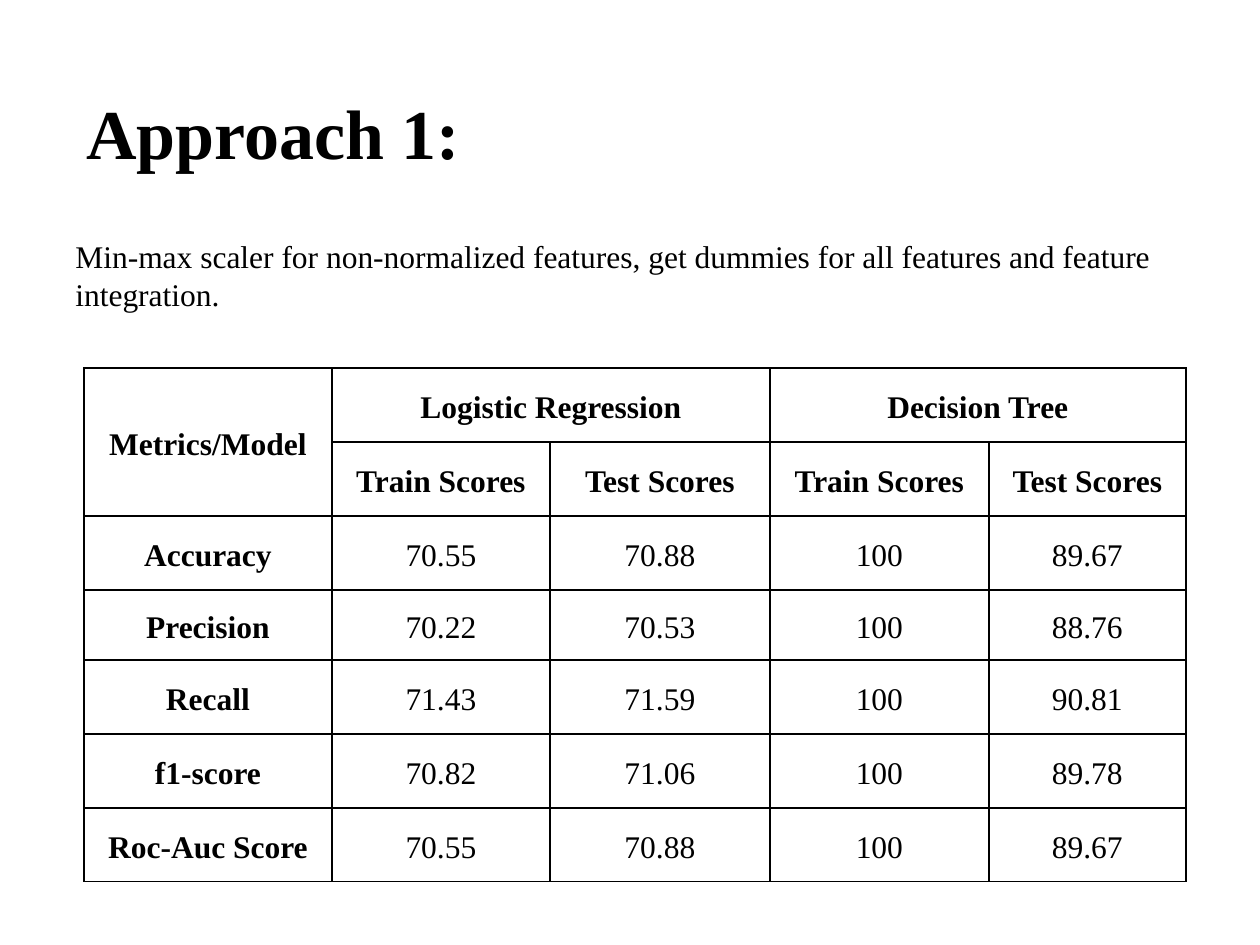
from lxml.etree import SubElement
from pptx import Presentation
from pptx.dml.color import RGBColor
from pptx.enum.text import MSO_ANCHOR, MSO_AUTO_SIZE, PP_ALIGN
from pptx.oxml.ns import qn
from pptx.util import Pt

PX = 914400 / 126
COLORS = {"ink": "000000"}
FONT = "Times New Roman"

TITLE = "Approach 1:"
SUMMARY = ("Min-max scaler for non-normalized features, get dummies for all "
           "features and feature integration.")
SCORES = [
    ("Metrics/Model", "Logistic Regression", "", "Decision Tree", ""),
    ("", "Train Scores", "Test Scores", "Train Scores", "Test Scores"),
    ("Accuracy", "70.55", "70.88", "100", "89.67"),
    ("Precision", "70.22", "70.53", "100", "88.76"),
    ("Recall", "71.43", "71.59", "100", "90.81"),
    ("f1-score", "70.82", "71.06", "100", "89.78"),
    ("Roc-Auc Score", "70.55", "70.88", "100", "89.67"),
]
HEADER_ROWS = 2
MERGES = [((0, 0), (1, 0)), ((0, 1), (0, 2)), ((0, 3), (0, 4))]

TITLE_AREA = (42, 53, 462, 158)
SUMMARY_AREA = (63, 231, 1144, 89)
TABLE_CORNER = (84, 368)
COLUMN_WIDTHS = [248, 218, 220, 219, 197]
ROW_HEIGHTS = [74, 74, 74, 70, 74, 74, 74]
CELL_FORMAT = {"margin_left": 9, "margin_right": 9, "margin_top": 0, "margin_bottom": 0}


def emu(px):
    return round(px * PX)


def write(frame, text, size, bold=False, align=PP_ALIGN.LEFT, spacing=1.0):
    para = frame.paragraphs[0]
    para.alignment, para.line_spacing = align, spacing
    span = para.add_run()
    span.text = text
    font_format = {"name": FONT, "size": Pt(size), "bold": bold}
    for name, value in font_format.items():
        setattr(span.font, name, value)
    span.font.color.rgb = RGBColor.from_string(COLORS["ink"])


def add_borders(cell):
    properties = cell._tc.get_or_add_tcPr()
    for position, side in enumerate(("lnL", "lnR", "lnT", "lnB")):
        line = SubElement(properties, qn(f"a:{side}"), w=str(Pt(1)))
        fill = SubElement(line, qn("a:solidFill"))
        SubElement(fill, qn("a:srgbClr"), val=COLORS["ink"])
        properties.insert(position, line)


def add_score_table(page):
    area = (*TABLE_CORNER, sum(COLUMN_WIDTHS), sum(ROW_HEIGHTS))
    table = page.shapes.add_table(
        len(SCORES), len(COLUMN_WIDTHS), *map(emu, area)).table
    table.first_row = table.horz_banding = False
    for column, width in zip(table.columns, COLUMN_WIDTHS):
        column.width = emu(width)
    for row, height in zip(table.rows, ROW_HEIGHTS):
        row.height = emu(height)
    for start, end in MERGES:
        table.cell(*start).merge(table.cell(*end))
    for r, values in enumerate(SCORES):
        for c, value in enumerate(values):
            cell = table.cell(r, c)
            for name, margin in CELL_FORMAT.items():
                setattr(cell, name, emu(margin))
            cell.vertical_anchor = MSO_ANCHOR.MIDDLE
            cell.fill.background()
            add_borders(cell)
            if value:
                write(cell.text_frame, value, 18, r < HEADER_ROWS or c == 0,
                      PP_ALIGN.CENTER, 1.15)


def main():
    deck = Presentation()
    deck.slide_width, deck.slide_height = emu(1260), emu(945)
    page = deck.slides.add_slide(deck.slide_layouts[5])

    add_score_table(page)

    title = page.shapes.title
    title.left, title.top, title.width, title.height = map(emu, TITLE_AREA)
    title.text_frame.vertical_anchor = MSO_ANCHOR.MIDDLE
    write(title.text_frame, TITLE, 40, True, PP_ALIGN.CENTER)

    summary = page.shapes.add_textbox(*map(emu, SUMMARY_AREA)).text_frame
    summary.word_wrap = True
    summary.auto_size = MSO_AUTO_SIZE.SHAPE_TO_FIT_TEXT
    write(summary, SUMMARY, 18)

    deck.save("out.pptx")


if __name__ == "__main__":
    main()
